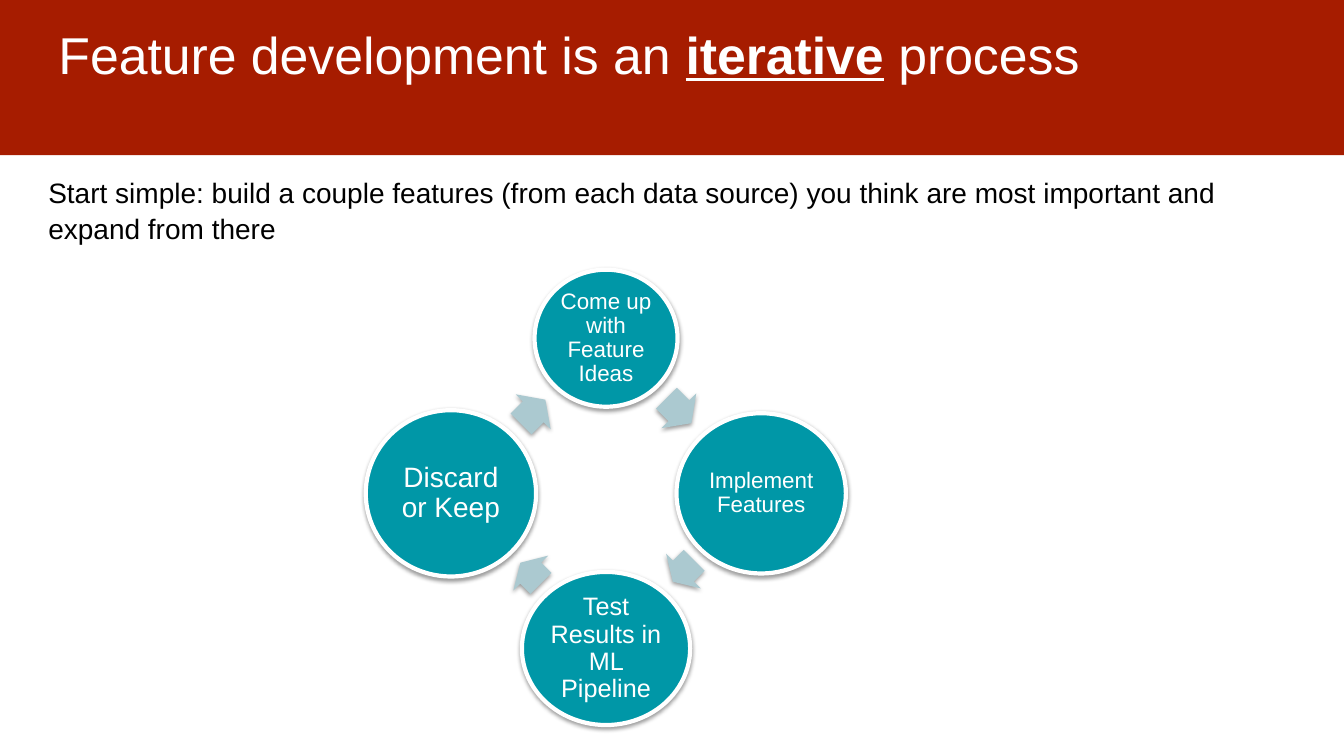
import math
from dataclasses import dataclass

import lxml.etree
import pptx
import pptx.dml.color
import pptx.enum.shapes
import pptx.enum.text
import pptx.oxml.ns
import pptx.util

Pt = pptx.util.Pt
Shapes = pptx.enum.shapes.MSO_SHAPE
Align = pptx.enum.text.PP_ALIGN
Anchor = pptx.enum.text.MSO_ANCHOR


@dataclass(frozen=True)
class Theme:
    font: str = "Arial"
    band: str = "A61C00"
    circle: str = "0097A7"
    arrow: str = "ABC9D0"
    light: str = "FFFFFF"
    dark: str = "000000"
    title_size: float = 37
    body_size: float = 20
    small_step: float = 16
    medium_step: float = 18
    large_step: float = 20


@dataclass(frozen=True)
class Span:
    text: str
    strong: bool = False


@dataclass(frozen=True)
class Step:
    text: str
    size: float
    width: float
    height: float


@dataclass(frozen=True)
class Arrow:
    center_x: float
    center_y: float
    length: float


THEME = Theme()
RING_X, RING_Y, RING_RADIUS = 432.9, 352.4, 110.8
ARROW_BREADTH = 35.2

TITLE = [
    Span("Feature development is an "),
    Span("iterative", strong=True),
    Span(" process"),
]
ADVICE = [
    Span(
        "Start simple: build a couple features (from each data source) "
        "you think are most important and expand from there"
    )
]
STEPS = [
    Step("Come up with Feature Ideas", THEME.small_step, 102.2, 97.9),
    Step("Implement Features", THEME.small_step, 121, 114.5),
    Step("Test Results in ML Pipeline", THEME.medium_step, 120.2, 109.4),
    Step("Discard or Keep", THEME.large_step, 121.7, 118.8),
]
ARROWS = [
    Arrow(484.9, 293.4, 25.2),
    Arrow(488.2, 407.9, 21.6),
    Arrow(379.1, 409.3, 20.9),
    Arrow(380.9, 294.1, 24.5),
]


def color(value: str) -> pptx.dml.color.RGBColor:
    return pptx.dml.color.RGBColor.from_string(value)


def write(box, spans: list[Span], *, size: float, ink: str, inset_x: float,
          inset_y: float, align=Align.LEFT, anchor=Anchor.TOP,
          spacing: float = 1.0) -> None:
    frame = box.text_frame
    frame.word_wrap = True
    frame.vertical_anchor = anchor
    frame.margin_left = frame.margin_right = Pt(inset_x)
    frame.margin_top = frame.margin_bottom = Pt(inset_y)
    para = frame.paragraphs[0]
    para.alignment = align
    para.line_spacing = spacing
    for span in spans:
        run = para.add_run()
        run.text = span.text
        run.font.name = THEME.font
        run.font.size = Pt(size)
        run.font.color.rgb = color(ink)
        run.font.bold = span.strong
        run.font.underline = span.strong


def add_filled(page, kind, left: float, top: float, width: float,
               height: float, fill: str):
    shape = page.shapes.add_shape(kind, Pt(left), Pt(top), Pt(width), Pt(height))
    shape.shadow.inherit = False
    shape.fill.solid()
    shape.fill.fore_color.rgb = color(fill)
    shape.line.fill.background()
    return shape


def add_shadow(shape) -> None:
    qn = pptx.oxml.ns.qn
    effects = shape.element.spPr.find(qn("a:effectLst"))
    shadow = lxml.etree.SubElement(
        effects, qn("a:outerShdw"), blurRad=str(Pt(3.1)), dist=str(Pt(1.6)),
        dir="5400000", rotWithShape="0")
    tint = lxml.etree.SubElement(shadow, qn("a:srgbClr"), val=THEME.dark)
    lxml.etree.SubElement(tint, qn("a:alpha"), val="38000")


def add_step(page, step: Step, angle: float) -> None:
    center_x = RING_X + RING_RADIUS * math.cos(math.radians(angle))
    center_y = RING_Y + RING_RADIUS * math.sin(math.radians(angle))
    circle = add_filled(
        page, Shapes.OVAL, center_x - step.width / 2,
        center_y - step.height / 2, step.width, step.height, THEME.circle)
    circle.line.color.rgb = color(THEME.light)
    circle.line.width = Pt(3)
    add_shadow(circle)
    write(circle, [Span(step.text)], size=step.size, ink=THEME.light,
          inset_x=1, inset_y=1.5, align=Align.CENTER, anchor=Anchor.MIDDLE,
          spacing=0.9)


def add_arrow(page, arrow: Arrow, angle: float) -> None:
    shape = add_filled(
        page, Shapes.RIGHT_ARROW, arrow.center_x - arrow.length / 2,
        arrow.center_y - ARROW_BREADTH / 2, arrow.length, ARROW_BREADTH,
        THEME.arrow)
    shape.adjustments[0] = 0.6
    shape.adjustments[1] = 0.5
    shape.rotation = angle
    add_shadow(shape)


def main() -> None:
    deck = pptx.Presentation()
    deck.slide_width, deck.slide_height = Pt(960), Pt(540)
    page = deck.slides.add_slide(deck.slide_layouts[6])

    add_filled(page, Shapes.RECTANGLE, -1.4, -2.9, 962, 113.8, THEME.band)
    title = page.shapes.add_textbox(Pt(32.4), Pt(6.5), Pt(894), Pt(60))
    write(title, TITLE, size=THEME.title_size, ink=THEME.light,
          inset_x=9.4, inset_y=9.4)

    for index, (step, arrow) in enumerate(zip(STEPS, ARROWS)):
        add_step(page, step, 90 * index - 90)
        add_arrow(page, arrow, 90 * index + 45)

    advice = page.shapes.add_textbox(Pt(27.4), Pt(120.2), Pt(894), Pt(80))
    write(advice, ADVICE, size=THEME.body_size, ink=THEME.dark,
          inset_x=7.2, inset_y=3.6, spacing=1.07)

    deck.save("out.pptx")


if __name__ == "__main__":
    main()
